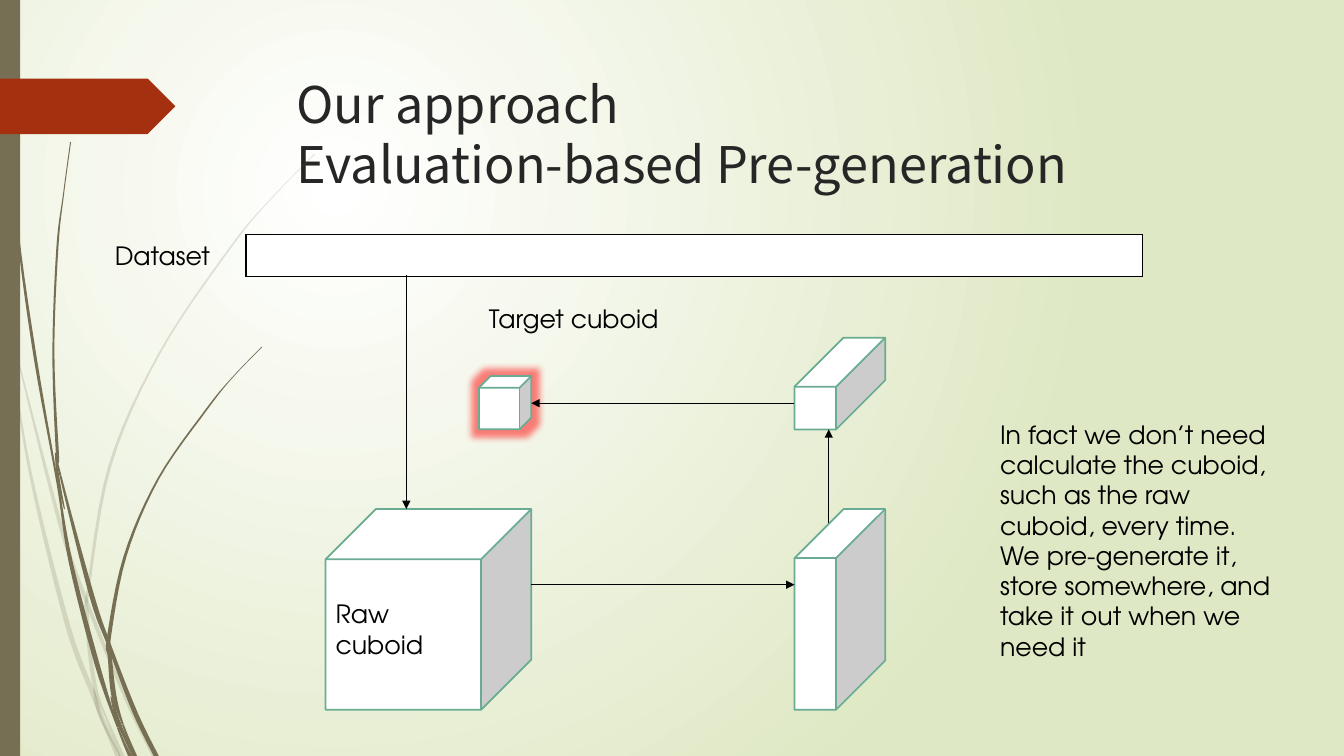
from lxml import etree
from pptx import Presentation
from pptx import util as u
from pptx.dml.color import RGBColor
from pptx.enum import shapes, text
from pptx.oxml import parse_xml
from pptx.oxml.ns import nsdecls, qn

COLORS = {
    "paper": "FFFFFF", "meadow": "DFE8C4", "grass": "766F54", "flag": "A53010",
    "title": "262626", "ink": "000000", "edge": "6AAC91", "glow": "FF0000",
}
TITLE_FONT, BODY_FONT = "Noto Sans CJK SC", "TeX Gyre Adventor"
TITLE = "Our approach\vEvaluation-based Pre-generation"
LABELS = [  # wording, left, top, width, height
    ("Dataset", 1.04, 2.33, 1.17, 0.41),
    ("Raw cuboid", 3.23, 5.89, 1.56, 0.71),
    ("Target cuboid", 4.75, 2.96, 2.02, 0.4),
    ("In fact we don’t need calculate the cuboid, such as the raw cuboid, "
     "every time. We pre-generate it, store somewhere, and take it out when "
     "we need it", 9.82, 4.11, 2.95, 2.52),
]
CUBOIDS = {  # left, top, width, height, depth ratio
    "raw": (3.23, 5.05, 2.04, 1.99, 0.25),
    "slab": (7.88, 5.05, 0.9, 1.99, 0.541),
    "bar": (7.88, 3.35, 0.9, 0.91, 0.541),
    "target": (4.75, 3.73, 0.52, 0.53, 0.225),
}
ARROWS = [(5.27, 5.8, 7.88, 5.8), (7.88, 4, 5.27, 4),  # from x, y, to x, y
          (8.22, 5.19, 8.22, 4.26), (4.03, 2.73, 4.03, 5.05)]
DATASET_BAR = (2.44, 2.33, 8.89, 0.41)
# A blade is the knots where it is cut in sections, then its knots: x, y, width.
PALE_BLADES = [
    ([1, 5], [(0, 2.9, 0.03), (0.11, 3.5, 0.01), (0.3, 4.69, 0.03), (0.67, 6.2, 0.05),
              (0.92, 6.88, 0.05), (1.01, 7.14, 0.02), (1.17, 7.5, 0.05)]),
    ([2], [(0.15, 3.45, 0.01), (0.6, 5.21, 0.04), (0.86, 5.97, 0.04),
           (1.25, 6.93, 0.04), (1.53, 7.5, 0.05)]),
    ([5, 6, 9], [(3.12, 1.53, 0.01), (2.68, 1.98, 0.01), (2.29, 2.45, 0.02),
                 (1.59, 3.49, 0.02), (1.09, 4.62, 0.03), (0.87, 5.88, 0.03),
                 (0.86, 6.07, 0.04), (0.89, 6.46, 0.04), (0.95, 6.85, 0.04),
                 (1.05, 7.11, 0.02), (1.21, 7.5, 0.05)]),
    ([], [(0.93, 6.83, 0.01), (1, 7.1, 0.05), (1.19, 7.5, 0.01)]),
]
DARK_BLADES = [
    ([5, 8], [(0.04, 0, 0.01), (0.05, 0.48, 0.01), (0.08, 1.1, 0.01), (0.18, 2.33, 0.02),
              (0.35, 3.55, 0.03), (0.57, 4.79, 0.02), (0.7, 5.57, 0.04),
              (0.96, 6.58, 0.05), (1.17, 7.22, 0.02), (1.29, 7.5, 0.04)]),
    ([5, 7], [(0.7, 1.41, 0.01), (0.63, 1.93, 0.01), (0.57, 2.45, 0.02),
              (0.53, 3.49, 0.02), (0.57, 4.5, 0.03), (0.6, 4.72, 0.02), (0.91, 5.91, 0.05),
              (1.09, 6.42, 0.04), (1.34, 7.07, 0.05), (1.55, 7.5, 0.05)]),
    ([5, 6, 8], [(2.6, 3.44, 0.01), (2.31, 3.74, 0.01), (2.05, 4.06, 0.02),
                 (1.57, 4.75, 0.02), (1.24, 5.52, 0.03), (1.08, 6.33, 0.04),
                 (1.09, 6.52, 0.04), (1.13, 6.9, 0.05), (1.22, 7.19, 0.02),
                 (1.34, 7.5, 0.04)]),
    ([], [(0.55, 4.49, 0.01), (0.58, 4.77, 0.03), (0.64, 5.05, 0.01)]),
    ([], [(1.1, 6.91, 0.01), (1.17, 7.15, 0.04), (1.32, 7.5, 0.02)]),
]


def inches(values):
    """Turn a run of numbers into lengths."""
    return [u.Inches(value) for value in values]


def paint(shape, fill, line=None):
    """Give a shape a flat fill and an optional outline."""
    shape.shadow.inherit = False
    shape.fill.solid()
    shape.fill.fore_color.rgb = RGBColor.from_string(COLORS[fill])
    shape.line.fill.background()
    if line:
        shape.line.color.rgb = RGBColor.from_string(COLORS[line])
        shape.line.width = u.Pt(1.25)


def add_alpha(parent, percent):
    """Make the first colour found under an element translucent."""
    color = next(parent.iter(qn("a:srgbClr")))
    etree.SubElement(color, qn("a:alpha"), val=str(percent * 1000))


def smooth(knots, steps):
    """Pass a Catmull-Rom curve through the knots."""
    ends = [knots[0], *knots, knots[-1]]
    curve = [[q + t * (r - p) / 2 + t**2 * (2*p - 5*q + 4*r - s) / 2
              + t**3 * (3*q - p - 3*r + s) / 2 for p, q, r, s in zip(*four)]
             for four in zip(ends, ends[1:], ends[2:], ends[3:])
             for t in (step / steps for step in range(steps))]
    return curve + [knots[-1]]


def add_blade(page, cuts, knots, alpha=None, steps=6):
    """Draw a blade of grass, section by section, around its centre line."""
    curve = smooth(knots, steps)
    stops = [0, *cuts, len(knots) - 1]
    for start, end in zip(stops, stops[1:]):
        section = curve[start * steps:end * steps + 1]
        left = [inches((max(x - w / 2, 0), y)) for x, y, w in section]
        right = [inches((x + w / 2, y)) for x, y, w in reversed(section)]
        builder = page.shapes.build_freeform(*left[0])
        builder.add_line_segments(left[1:] + right, close=True)
        blade = builder.convert_to_shape()
        paint(blade, "grass")
        if alpha:
            add_alpha(blade.element.spPr, alpha)


def add_background(page):
    """Fill the page with a round gradient."""
    page.element.cSld.insert(0, parse_xml(
        f'<p:bg {nsdecls("p", "a")}><p:bgPr><a:gradFill rotWithShape="1"><a:gsLst>'
        f'<a:gs pos="0"><a:srgbClr val="{COLORS["paper"]}"/></a:gs>'
        f'<a:gs pos="100000"><a:srgbClr val="{COLORS["meadow"]}"/></a:gs></a:gsLst>'
        '<a:path path="circle"><a:fillToRect l="50000" t="50000" r="100000" '
        'b="100000"/></a:path></a:gradFill><a:effectLst/></p:bgPr></p:bg>'))


def write(shape, wording, font, size, color):
    """Put wrapped, left-aligned wording in a shape."""
    frame = shape.text_frame
    frame.text = wording
    frame.word_wrap = True
    frame.vertical_anchor = text.MSO_ANCHOR.TOP
    para = frame.paragraphs[0]
    para.alignment = text.PP_ALIGN.LEFT
    for span in para.runs:
        span.font.name, span.font.size = font, u.Pt(size)
        span.font.color.rgb = RGBColor.from_string(COLORS[color])
    return para


def add_cuboid(page, left, top, width, height, depth):
    """Draw a white cuboid with a green edge."""
    cuboid = page.shapes.add_shape(
        shapes.MSO_SHAPE.CUBE, *inches((left, top, width, height)))
    cuboid.adjustments[0] = depth
    paint(cuboid, "paper", "edge")
    return cuboid


def add_arrow(page, ends):
    """Draw a thin straight arrow."""
    arrow = page.shapes.add_connector(shapes.MSO_CONNECTOR.STRAIGHT, *inches(ends))
    arrow.line.color.rgb = RGBColor.from_string(COLORS["ink"])
    arrow.line.width = u.Pt(0.75)
    properties = arrow.element.spPr
    etree.SubElement(properties.find(qn("a:ln")), qn("a:tailEnd"), type="triangle")
    etree.SubElement(properties, qn("a:effectLst"))


def add_dataset_bar(page):
    """Show the dataset as a one-cell table with a black border."""
    cell = page.shapes.add_table(1, 1, *inches(DATASET_BAR)).table.cell(0, 0)
    properties = cell._tc.get_or_add_tcPr()
    for side in ("lnL", "lnR", "lnT", "lnB"):
        border = etree.SubElement(properties, qn(f"a:{side}"), w=str(u.Pt(1)))
        fill = etree.SubElement(border, qn("a:solidFill"))
        etree.SubElement(fill, qn("a:srgbClr"), val=COLORS["ink"])
    cell.fill.solid()
    cell.fill.fore_color.rgb = RGBColor.from_string(COLORS["paper"])


deck = Presentation()
deck.slide_width, deck.slide_height = inches((13.33, 7.5))
page = deck.slides.add_slide(deck.slide_layouts[5])
add_background(page)
for cuts, knots in PALE_BLADES:
    add_blade(page, cuts, knots, alpha=20)
for cuts, knots in DARK_BLADES:
    add_blade(page, cuts, knots)
stem = page.shapes.add_shape(shapes.MSO_SHAPE.RECTANGLE, *inches((0, 0, 0.2, 7.5)))
paint(stem, "grass")
flag = page.shapes.add_shape(shapes.MSO_SHAPE.PENTAGON, *inches((0, 0.78, 1.74, 0.55)))
paint(flag, "flag")
title = page.shapes.title
title.left, title.top, title.width, title.height = inches((2.84, 0.68, 9.75, 1.4))
write(title, TITLE, TITLE_FONT, 36, "title").line_spacing = u.Pt(42.8)
cuboids = {name: add_cuboid(page, *place) for name, place in CUBOIDS.items()}
effects = cuboids["target"].element.spPr.find(qn("a:effectLst"))
glow = etree.SubElement(effects, qn("a:glow"), rad=str(u.Pt(10)))
etree.SubElement(glow, qn("a:srgbClr"), val=COLORS["glow"])
add_alpha(glow, 50)
add_dataset_bar(page)
for ends in ARROWS:
    add_arrow(page, ends)
for wording, *place in LABELS:
    write(page.shapes.add_textbox(*inches(place)), wording, BODY_FONT, 18, "ink")
deck.save("out.pptx")
